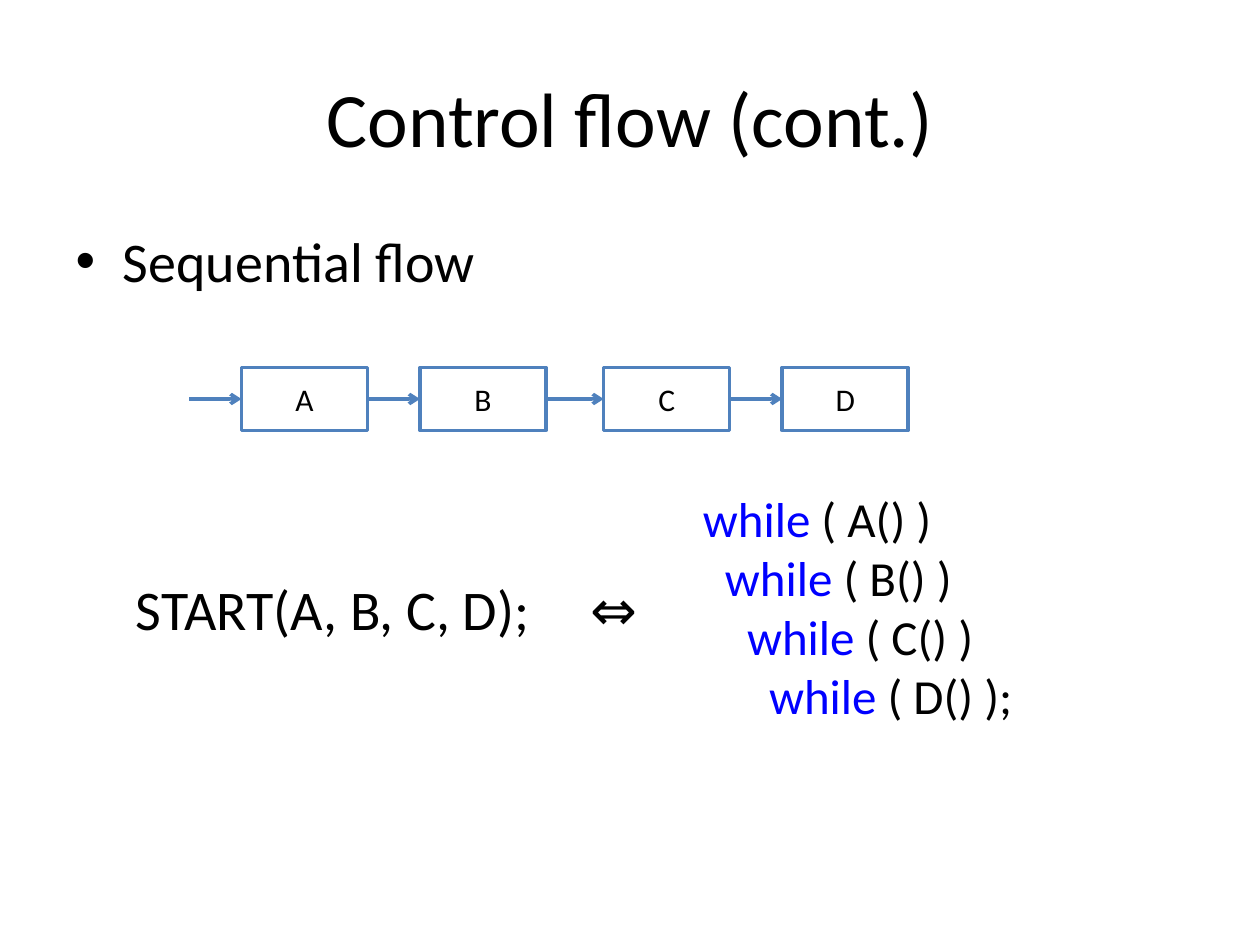
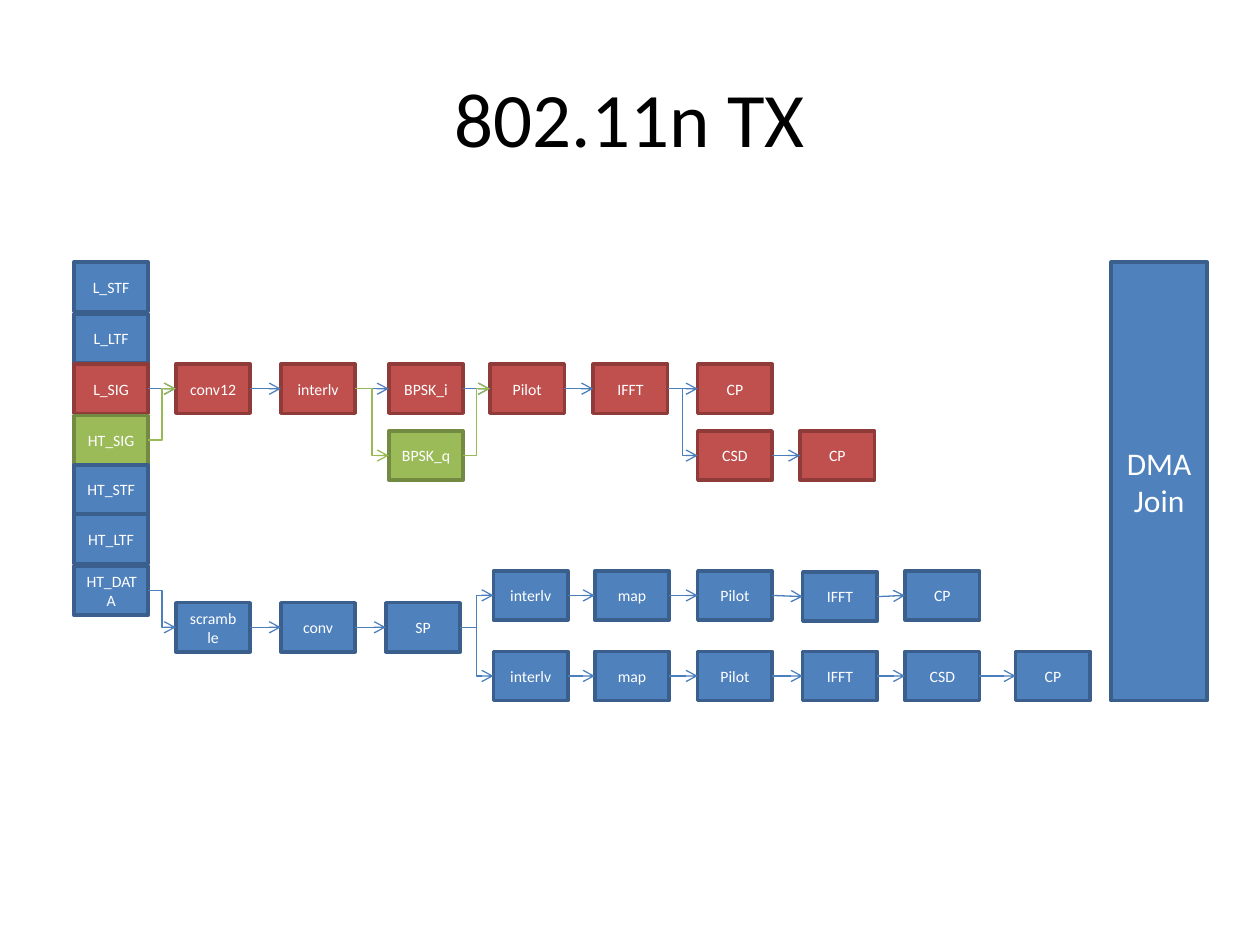
import dataclasses
import itertools

import pptx
import pptx.dml.color
import pptx.enum.shapes
import pptx.enum.text
import pptx.oxml.ns
import pptx.util
from lxml import etree

Pt = pptx.util.Pt
ALIGN = pptx.enum.text.PP_ALIGN
ANCHOR = pptx.enum.text.MSO_ANCHOR
CONNECTOR = pptx.enum.shapes.MSO_CONNECTOR
RIGHT, LEFT = 3, 1  # connection sites of a rectangle


@dataclasses.dataclass(frozen=True)
class Theme:
    font: str = "Calibri"
    title_size: int = 44
    body_size: int = 32
    code_size: int = 28
    box_size: int = 18
    stage_size: int = 9
    ink: str = "000000"
    paper: str = "FFFFFF"
    keyword: str = "0000FF"
    accent: str = "4F81BD"
    blue_arrow: str = "4B7EBC"
    green_arrow: str = "98B955"
    # (fill, outline) pairs
    blue: tuple = ("4F81BD", "3A5F8C")
    red: tuple = ("C0504D", "8E3B39")
    green: tuple = ("9BBB59", "738A42")
    outline_width: float = 2
    arrow_width: float = 0.75


THEME = Theme()
STAGE_WIDTH, STAGE_HEIGHT = 42.5, 28.1


def rgb(code):
    return pptx.dml.color.RGBColor.from_string(code)


# ---- Text ----
def add_run(paragraph, text, size, color=THEME.ink):
    run = paragraph.add_run()
    run.text = text
    run.font.name = THEME.font
    run.font.size = Pt(size)
    run.font.color.rgb = rgb(color)


def place(item, left, top, width, height):
    item.left, item.top = Pt(left), Pt(top)
    item.width, item.height = Pt(width), Pt(height)


def add_titled_slide(deck, layout, heading):
    slide = deck.slides.add_slide(deck.slide_layouts[layout])
    title = slide.shapes.title
    place(title, 36, 21.6, 648, 90)
    title.text_frame.vertical_anchor = ANCHOR.MIDDLE
    paragraph = title.text_frame.paragraphs[0]
    paragraph.alignment = ALIGN.CENTER
    add_run(paragraph, heading, THEME.title_size)
    return slide


def add_text_frame(slide, left, top, width, height):
    frame = slide.shapes.add_textbox(Pt(left), Pt(top), Pt(width), Pt(height)).text_frame
    frame.word_wrap = True
    frame.auto_size = pptx.enum.text.MSO_AUTO_SIZE.SHAPE_TO_FIT_TEXT
    return frame


def add_tab_stop(paragraph, position):
    stops = etree.SubElement(paragraph._p.get_or_add_pPr(), pptx.oxml.ns.qn("a:tabLst"))
    etree.SubElement(stops, pptx.oxml.ns.qn("a:tab"), pos=str(Pt(position)), algn="l")


def add_nested_loops(frame, calls, indent):
    for depth, call in enumerate(calls):
        paragraph = frame.add_paragraph() if depth else frame.paragraphs[0]
        paragraph._p.get_or_add_pPr().set("marL", str(Pt(depth * indent)))
        add_run(paragraph, "while", THEME.code_size, THEME.keyword)
        add_run(paragraph, f" ( {call} )" + (";" if call == calls[-1] else ""), THEME.code_size)


# ---- Boxes and arrows ----
def add_box(slide, lines, bounds, colors, size, text_color=THEME.paper):
    box = slide.shapes.add_shape(
        pptx.enum.shapes.MSO_SHAPE.RECTANGLE, *(Pt(length) for length in bounds))
    fill, outline = colors
    box.shadow.inherit = False
    box.fill.solid()
    box.fill.fore_color.rgb = rgb(fill)
    box.line.color.rgb = rgb(outline)
    box.line.width = Pt(THEME.outline_width)
    frame = box.text_frame
    frame.vertical_anchor = ANCHOR.MIDDLE
    for index, line in enumerate(lines):
        paragraph = frame.add_paragraph() if index else frame.paragraphs[0]
        paragraph.alignment = ALIGN.CENTER
        add_run(paragraph, line, size, text_color)
    return box


def add_stage(slide, label, left, top, colors):
    bounds = (left, top, STAGE_WIDTH, STAGE_HEIGHT)
    return add_box(slide, [label], bounds, colors, THEME.stage_size)


def add_stage_row(slide, top, colors, stages):
    return [add_stage(slide, label, left, top, colors) for label, left in stages]


def add_arrow(slide, start, end, color, width, kind=CONNECTOR.STRAIGHT):
    arrow = slide.shapes.add_connector(kind, *start, *end)
    arrow.line.color.rgb = rgb(color)
    arrow.line.width = Pt(width)
    etree.SubElement(arrow.line._get_or_add_ln(), pptx.oxml.ns.qn("a:tailEnd"), type="arrow")
    etree.SubElement(arrow._element.spPr, pptx.oxml.ns.qn("a:effectLst"))
    return arrow


def link(slide, source, target, color=THEME.blue_arrow, width=THEME.arrow_width,
         kind=CONNECTOR.STRAIGHT):
    start = (source.left + source.width, source.top + source.height // 2)
    end = (target.left, target.top + target.height // 2)
    arrow = add_arrow(slide, start, end, color, width, kind)
    arrow.begin_connect(source, RIGHT)
    arrow.end_connect(target, LEFT)


def link_bent(slide, source, target, color=THEME.blue_arrow):
    link(slide, source, target, color, kind=CONNECTOR.ELBOW)


def link_row(slide, boxes, **style):
    for source, target in itertools.pairwise(boxes):
        link(slide, source, target, **style)


# ---- Slides ----
def build_control_flow(deck):
    slide = add_titled_slide(deck, 1, "Control flow (cont.)")
    topic = slide.placeholders[1]
    place(topic, 36, 126, 648, 66)
    add_run(topic.text_frame.paragraphs[0], "Sequential flow", THEME.body_size)

    # Chain of steps with an incoming arrow
    steps = [add_box(slide, [name], (left, 210, 72, 36), (THEME.paper, THEME.accent),
                     THEME.box_size, THEME.ink)
             for name, left in zip("ABCD", (138, 240, 345, 447))]
    entry = add_arrow(slide, (Pt(108), Pt(228)), (Pt(138), Pt(228)),
                      THEME.accent, THEME.outline_width)
    entry.end_connect(steps[0], LEFT)
    link_row(slide, steps, color=THEME.accent, width=THEME.outline_width)

    # Shorthand and the loops it stands for
    shorthand = add_text_frame(slide, 70.6, 324.7, 324, 46).paragraphs[0]
    add_tab_stop(shorthand, 260)
    add_run(shorthand, "START(A, B, C, D);\t⇔", THEME.body_size)
    loops = add_text_frame(slide, 394.6, 275.8, 249, 143.3)
    add_nested_loops(loops, ["A()", "B()", "C()", "D()"], indent=12.6)


def build_transmitter(deck):
    slide = add_titled_slide(deck, 5, "802.11n TX")
    blue, red, green = THEME.blue, THEME.red, THEME.green

    # Frame fields, stacked on the left
    fields = {
        label: add_stage(slide, label, 42.2, top, colors)
        for label, top, colors in (
            ("L_STF", 149.8, blue), ("L_LTF", 179.3, blue), ("L_SIG", 208.1, red),
            ("HT_SIG", 237.4, green), ("HT_STF", 265.7, blue),
            ("HT_LTF", 293.9, blue), ("HT_DATA", 323.5, blue))
    }
    add_box(slide, ["DMA", "Join"], (635, 149.8, 54.8, 250.6), blue, THEME.box_size)

    # Signal path
    signal = add_stage_row(slide, 208.1, red, [
        ("conv12", 100.5), ("interlv", 160.5), ("BPSK_i", 222.2),
        ("Pilot", 280), ("IFFT", 339), ("CP", 398.7)])
    conv12, signal_interlv, _, signal_pilot, signal_ifft, _ = signal
    bpsk_q = add_stage(slide, "BPSK_q", 222.2, 246.3, green)
    shifted = add_stage_row(slide, 246.3, red, [("CSD", 398.7), ("CP", 457.2)])
    link_row(slide, signal)
    link_row(slide, shifted)
    link_bent(slide, fields["L_SIG"], conv12)
    link_bent(slide, signal_ifft, shifted[0])
    for source, target in ((fields["HT_SIG"], conv12), (signal_interlv, bpsk_q),
                           (bpsk_q, signal_pilot)):
        link_bent(slide, source, target, THEME.green_arrow)

    # Data path, split into two streams
    data = add_stage_row(slide, 344.4, blue, [
        ("scramble", 100.5), ("conv", 160.5), ("SP", 220.5)])
    stream = [("interlv", 282), ("map", 339.9), ("Pilot", 398.7), ("IFFT", 458.7)]
    upper = add_stage_row(slide, 326.2, blue, stream + [("CP", 517.2)])
    upper[3].top = Pt(326.9)
    lower = add_stage_row(slide, 372.2, blue, stream + [("CSD", 517.2), ("CP", 580.4)])
    for row in (data, upper, lower):
        link_row(slide, row)
    link_bent(slide, fields["HT_DATA"], data[0])
    for row in (upper, lower):
        link_bent(slide, data[-1], row[0])


def main():
    deck = pptx.Presentation()
    deck.slide_width, deck.slide_height = Pt(720), Pt(540)
    build_control_flow(deck)
    build_transmitter(deck)
    deck.save("out.pptx")


if __name__ == "__main__":
    main()
